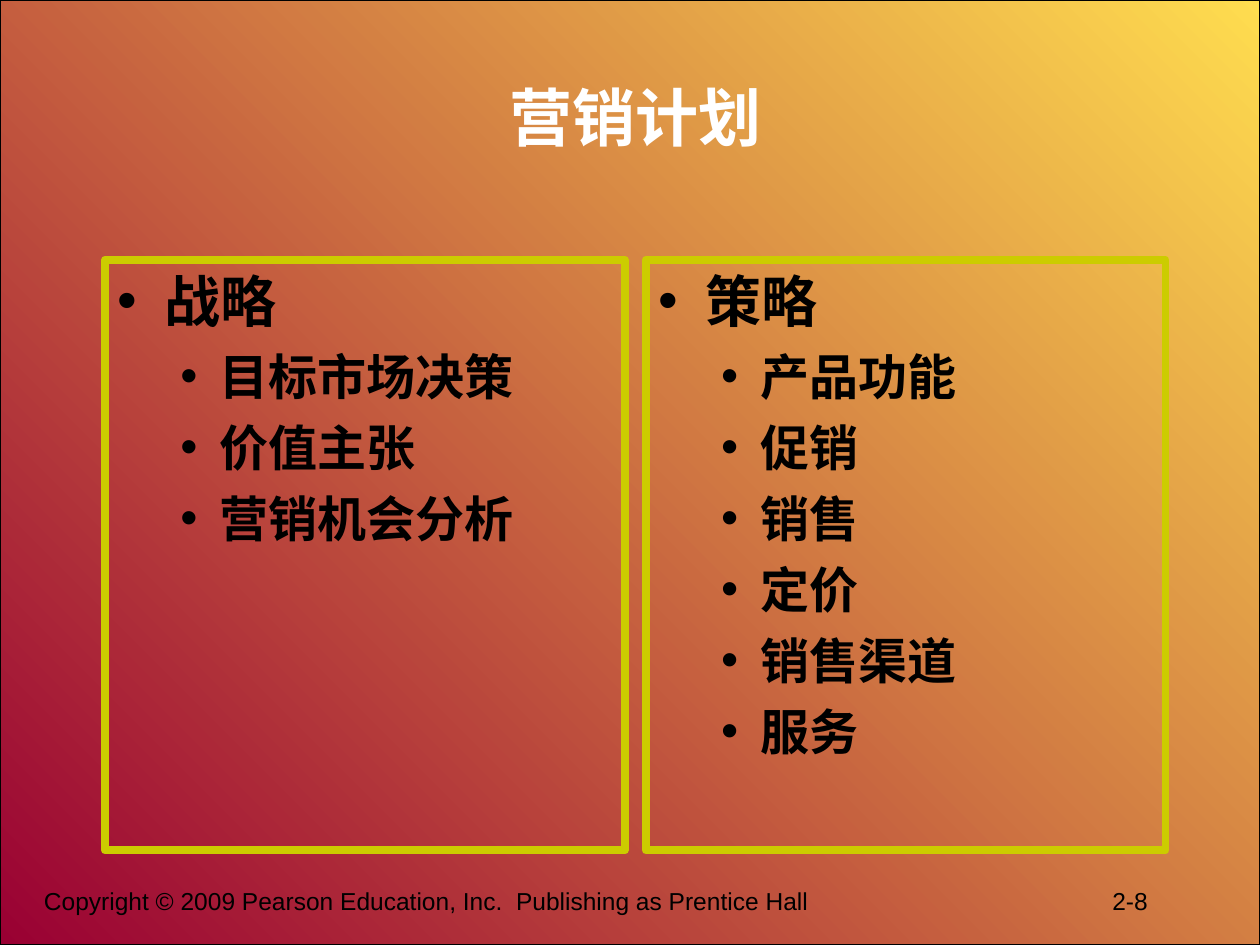
from dataclasses import dataclass

import pptx
import pptx.dml.color
import pptx.enum.shapes
import pptx.enum.text
import pptx.oxml.ns
import pptx.slide
import pptx.util
from lxml import etree

Pt = pptx.util.Pt
RECTANGLE = pptx.enum.shapes.MSO_SHAPE.RECTANGLE
ANCHOR = pptx.enum.text.MSO_ANCHOR
ALIGN = pptx.enum.text.PP_ALIGN


def color(value):
    return pptx.dml.color.RGBColor.from_string(value)


def add_element(parent, tag, **attributes):
    return etree.SubElement(parent, pptx.oxml.ns.qn(tag), attributes)


@dataclass(frozen=True)
class Theme:
    glow: str = "FFDD4F"
    wine: str = "990033"
    frame: str = "CCCC00"
    ink: str = "000000"
    white: str = "FFFFFF"
    latin: str = "Arial"
    chinese: str = "Noto Sans CJK SC"
    title_size: float = 36
    footer_size: float = 14
    # Per level: type size, left indent, hanging indent, paragraph spacing
    levels: tuple = ((32, 27, 27, 4), (28, 58.5, 22.5, 3.5))


@dataclass
class SlideBuilder:
    theme: Theme
    page: pptx.slide.Slide

    def background(self, width, height):
        box = self.page.shapes.add_shape(RECTANGLE, 0, 0, width, height)
        box.shadow.inherit = False
        box.fill.gradient()
        box.fill.gradient_angle = 225
        for stop, position, value in zip(box.fill.gradient_stops, (0, 1),
                                         (self.theme.glow, self.theme.wine)):
            stop.position = position
            stop.color.rgb = color(value)
        box.line.color.rgb = color(self.theme.ink)
        box.line.width = Pt(0.75)

    def span(self, para, text, size, value, font, bold=False):
        span = para.add_run()
        span.text = text
        span.font.size = Pt(size)
        span.font.bold = bold
        span.font.name = font
        span.font.color.rgb = color(value)
        return span

    def chinese_span(self, para, text, size, value, font):
        span = self.span(para, text, size, value, font, bold=True)
        latin = span.font._element.find(pptx.oxml.ns.qn("a:latin"))
        east_asian = add_element(span.font._element, "a:ea",
                                 typeface=self.theme.chinese)
        latin.addnext(east_asian)

    def text_box(self, left, top, width, height):
        box = self.page.shapes.add_textbox(Pt(left), Pt(top), Pt(width), Pt(height))
        box.text_frame.word_wrap = True
        return box

    def title(self, text, *place):
        frame = self.text_box(*place).text_frame
        frame.vertical_anchor = ANCHOR.MIDDLE
        para = frame.paragraphs[0]
        para.alignment = ALIGN.CENTER
        self.chinese_span(para, text, self.theme.title_size, self.theme.white,
                          self.theme.chinese)

    def bullet(self, para, text, level, first):
        size, indent, hanging, spacing = self.theme.levels[level]
        para.level = level
        properties = para._p.get_or_add_pPr()
        properties.set("marL", str(Pt(indent)))
        properties.set("indent", str(-Pt(hanging)))
        bullet_color = add_element(properties, "a:buClr")
        add_element(bullet_color, "a:srgbClr", val=self.theme.ink)
        add_element(properties, "a:buFont", typeface=self.theme.latin)
        add_element(properties, "a:buChar", char="•")
        para.space_before = Pt(0 if first else spacing)
        para.space_after = Pt(spacing)
        self.chinese_span(para, text, size, self.theme.ink, self.theme.latin)

    def panel(self, heading, items, *place):
        box = self.text_box(*place)
        box.line.color.rgb = color(self.theme.frame)
        box.line.width = Pt(4.5)
        frame = box.text_frame
        self.bullet(frame.paragraphs[0], heading, 0, first=True)
        for item in items:
            self.bullet(frame.add_paragraph(), item, 1, first=False)

    def footer(self, notice, number, number_tab, *place):
        para = self.text_box(*place).text_frame.paragraphs[0]
        tabs = add_element(para._p.get_or_add_pPr(), "a:tabLst")
        add_element(tabs, "a:tab", pos=str(Pt(number_tab)), algn="l")
        self.span(para, f"{notice}\t{number}", self.theme.footer_size,
                  self.theme.ink, self.theme.latin)


def main():
    deck = pptx.Presentation()
    deck.slide_width, deck.slide_height = Pt(720), Pt(540)
    page = deck.slides.add_slide(deck.slide_layouts[6])
    builder = SlideBuilder(Theme(), page)

    # Backdrop and footer
    builder.background(deck.slide_width, deck.slide_height)
    builder.footer("Copyright © 2009 Pearson Education, Inc.  Publishing as Prentice Hall",
                   "2-8", 610.5, 18, 502.5, 672, 37.5)

    # Title
    builder.title("营销计划", 60, 21.5, 606, 90)

    # Two framed lists side by side
    panels = (
        ("战略", ("目标市场决策", "价值主张", "营销机会分析")),
        ("策略", ("产品功能", "促销", "销售", "定价", "销售渠道", "服务")),
    )
    left, width, gap = 60, 297, 12
    for index, (heading, items) in enumerate(panels):
        builder.panel(heading, items, left + index * (width + gap), 148.5, width, 337.5)

    deck.save("out.pptx")


if __name__ == "__main__":
    main()
